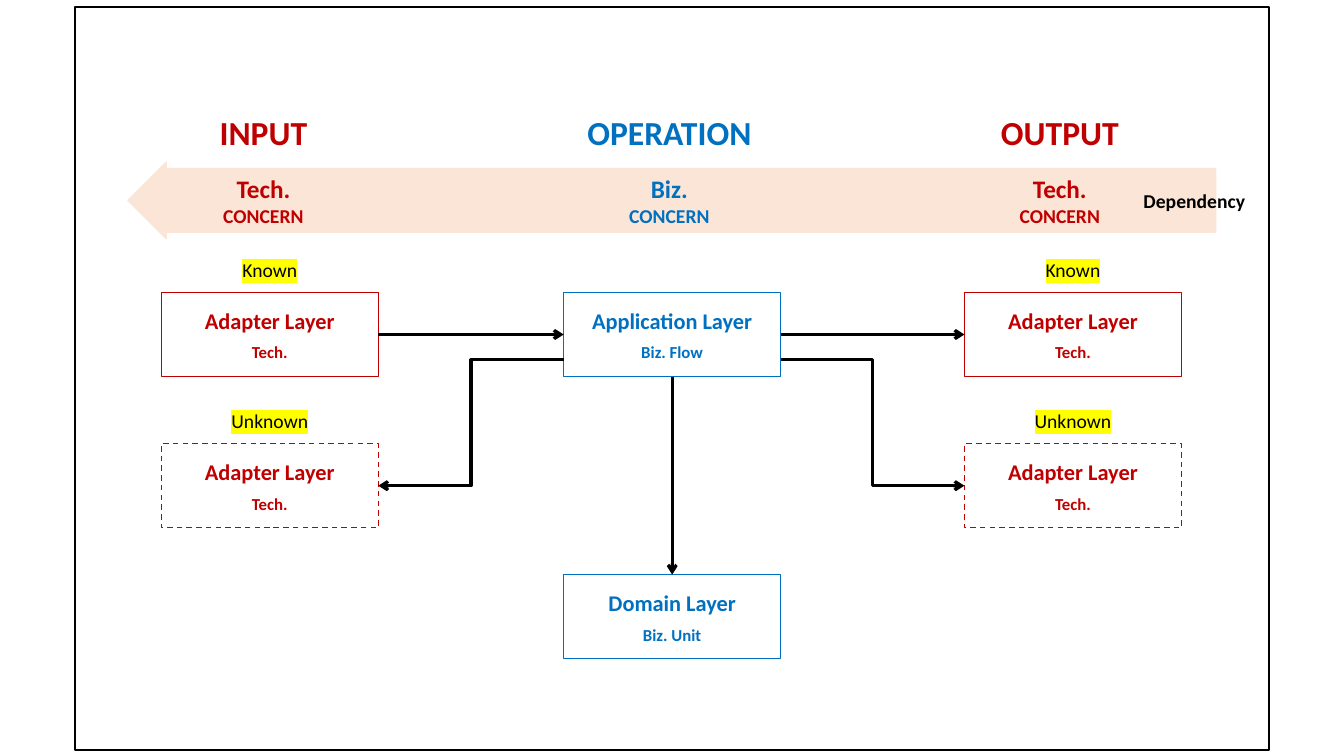
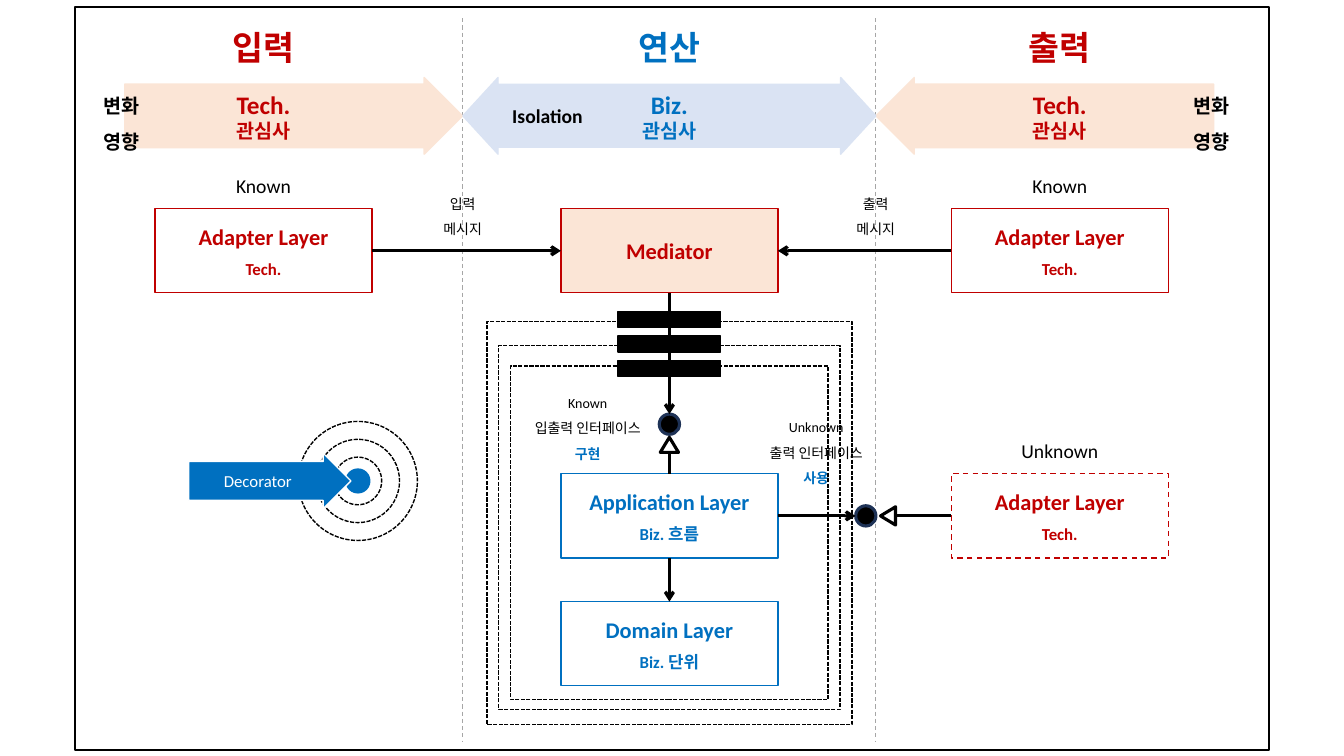
import lxml.etree
import pptx
import pptx.dml.color
import pptx.enum.dml
import pptx.enum.shapes
import pptx.enum.text
import pptx.oxml.ns
import pptx.util

Cm = pptx.util.Cm
Pt = pptx.util.Pt
RGBColor = pptx.dml.color.RGBColor
SHAPE = pptx.enum.shapes.MSO_SHAPE
CONNECTOR = pptx.enum.shapes.MSO_CONNECTOR
DASH = pptx.enum.dml.MSO_LINE.DASH
FINE_DASH = pptx.enum.dml.MSO_LINE.SQUARE_DOT
qn = pptx.oxml.ns.qn

BLACK = RGBColor(0x00, 0x00, 0x00)
WHITE = RGBColor(0xFF, 0xFF, 0xFF)
RED = RGBColor(0xC0, 0x00, 0x00)
BLUE = RGBColor(0x00, 0x70, 0xC0)
NAVY = RGBColor(0x1E, 0x32, 0x56)
GREY = RGBColor(0xA6, 0xA6, 0xA6)
PEACH = RGBColor(0xFB, 0xE5, 0xD6)
PALE_BLUE = RGBColor(0xDA, 0xE3, 0xF3)
YELLOW = RGBColor(0xFF, 0xFF, 0x00)

FONT = "Calibri"
HEADING_CENTRES = (6.64, 16.87, 26.71)
BOX_WIDTH, BOX_HEIGHT = 5.47, 2.12
BAND_HEIGHT, BAND_OFFSET = 1.93, 1.73
LABEL_OFFSET = 1.64
TOP, LEFT, BOTTOM, RIGHT = range(4)


def add_line(frame, text, *, size, color=BLACK, bold=False, spacing=None,
             before=0, highlight=None):
    paragraph = frame.paragraphs[-1]
    if paragraph.runs:
        paragraph = frame.add_paragraph()
    paragraph.alignment = pptx.enum.text.PP_ALIGN.CENTER
    paragraph.line_spacing = spacing
    paragraph.space_before = Pt(before)
    run = paragraph.add_run()
    run.text = text
    run.font.name = FONT
    run.font.size = Pt(size)
    run.font.bold = bold
    run.font.color.rgb = color
    if highlight is not None:
        mark = lxml.etree.Element(qn("a:highlight"))
        lxml.etree.SubElement(mark, qn("a:srgbClr"), val=str(highlight))
        run.font._element.find(qn("a:solidFill")).addnext(mark)


def add_text_box(slide, centre_x, centre_y, width, height):
    box = slide.shapes.add_textbox(Cm(centre_x - width / 2), Cm(centre_y - height / 2),
                                   Cm(width), Cm(height))
    frame = box.text_frame
    frame.word_wrap = False
    frame.vertical_anchor = pptx.enum.text.MSO_ANCHOR.MIDDLE
    return frame


def add_label(slide, centre_x, centre_y, lines, width=3.6, height=0.86, **text_format):
    frame = add_text_box(slide, centre_x, centre_y, width, height)
    for text in lines:
        add_line(frame, text, **text_format)
    return frame


def format_line(line, color, weight, dash):
    line.color.rgb = color
    line.width = Pt(weight)
    if dash is not None:
        line.dash_style = dash


def add_figure(slide, kind, centre_x, centre_y, width, height, *, fill=None,
               line=BLACK, weight=1, dash=None, adjustments=(), rotation=0):
    shape = slide.shapes.add_shape(kind, Cm(centre_x - width / 2), Cm(centre_y - height / 2),
                                   Cm(width), Cm(height))
    shape.shadow.inherit = False
    shape.rotation = rotation
    for index, value in enumerate(adjustments):
        shape.adjustments[index] = value
    if fill is None:
        shape.fill.background()
    else:
        shape.fill.solid()
        shape.fill.fore_color.rgb = fill
    format_line(shape.line, line, weight, dash)
    return shape


def add_connector(slide, start, end, *, kind=CONNECTOR.STRAIGHT, color=BLACK,
                  weight=2.25, dash=None, arrow=True):
    connector = slide.shapes.add_connector(kind, *map(Cm, start + end))
    format_line(connector.line, color, weight, dash)
    properties = connector._element.spPr
    if arrow:
        lxml.etree.SubElement(properties.find(qn("a:ln")), qn("a:tailEnd"), type="arrow")
    lxml.etree.SubElement(properties, qn("a:effectLst"))
    return connector


def link(slide, source, source_side, target, target_side):
    connector = add_connector(slide, (0, 0), (0, 0))
    connector.begin_connect(source, source_side)
    connector.end_connect(target, target_side)


def add_box(slide, centre_x, centre_y, title, subtitle=None, *, color=BLUE,
            fill=None, dash=None):
    box = add_figure(slide, SHAPE.RECTANGLE, centre_x, centre_y, BOX_WIDTH, BOX_HEIGHT,
                     fill=fill, line=color, dash=dash)
    frame = box.text_frame
    frame.vertical_anchor = pptx.enum.text.MSO_ANCHOR.MIDDLE
    add_line(frame, title, size=16, color=color, bold=True)
    if subtitle:
        add_line(frame, subtitle, size=12, color=color, bold=True, before=6)
    return box


def add_adapter(slide, centre_x, centre_y, status, highlight=None):
    add_label(slide, centre_x, centre_y - LABEL_OFFSET, [status], size=14, highlight=highlight)
    return add_box(slide, centre_x, centre_y, "Adapter Layer", "Tech.", color=RED,
                   dash=DASH if status == "Unknown" else None)


def add_band(slide, kind, centre_x, centre_y, width, color=PEACH, adjustments=(0.83, 0.5)):
    add_figure(slide, kind, centre_x, centre_y, width, BAND_HEIGHT, fill=color,
               line=color, adjustments=adjustments)


def add_headings(slide, centre_y, names, concern):
    columns = zip(HEADING_CENTRES, names, ("Tech.", "Biz.", "Tech."), (RED, BLUE, RED))
    for centre_x, name, area, color in columns:
        add_label(slide, centre_x, centre_y, [name], width=5.5, height=1.27,
                  size=24, color=color, bold=True)
        frame = add_text_box(slide, centre_x, centre_y + BAND_OFFSET, 3.2, 1.63)
        add_line(frame, area, size=18, color=color, bold=True)
        add_line(frame, concern, size=14, color=color, bold=True)


def start_slide(presentation):
    slide = presentation.slides.add_slide(presentation.slide_layouts[6])
    add_figure(slide, SHAPE.RECTANGLE, 16.93, 9.54, 30.1, 18.72, weight=1.5)
    return slide


def build_dependency_slide(presentation):
    slide = start_slide(presentation)
    heading_y = 3.32
    band_y = heading_y + BAND_OFFSET
    left_x, middle_x, right_x = 6.8, 16.94, 27.04
    known_y, unknown_y, domain_y = 8.43, 12.24, 15.54
    bend_y = known_y + 0.64

    add_band(slide, SHAPE.LEFT_ARROW, 16.93, band_y, 27.41)
    add_headings(slide, heading_y, ("INPUT", "OPERATION", "OUTPUT"), "CONCERN")
    add_label(slide, 30.1, band_y, ["Dependency"], size=14, bold=True)

    application = add_box(slide, middle_x, known_y, "Application Layer", "Biz. Flow", fill=WHITE)
    domain = add_box(slide, middle_x, domain_y, "Domain Layer", "Biz. Unit", fill=WHITE)
    source, target = [add_adapter(slide, x, known_y, "Known", YELLOW) for x in (left_x, right_x)]
    link(slide, source, RIGHT, application, LEFT)
    link(slide, application, RIGHT, target, LEFT)
    link(slide, application, BOTTOM, domain, TOP)

    for adapter_x, direction in ((left_x, -1), (right_x, 1)):
        add_adapter(slide, adapter_x, unknown_y, "Unknown", YELLOW)
        reach = direction * BOX_WIDTH / 2
        add_connector(slide, (middle_x + reach, bend_y), (adapter_x - reach, unknown_y),
                      kind=CONNECTOR.ELBOW)


def add_interface(slide, centre_x, centre_y):
    return add_figure(slide, SHAPE.OVAL, centre_x, centre_y, 0.51, 0.51, fill=BLACK,
                      line=NAVY, weight=2.25)


def add_implementation(slide, centre_x, centre_y, rotation=0):
    add_figure(slide, SHAPE.ISOSCELES_TRIANGLE, centre_x, centre_y, 0.46, 0.38, fill=WHITE,
               weight=2.25, rotation=rotation)


def add_interface_note(slide, centre_x, centre_y, lines, action):
    frame = add_label(slide, centre_x, centre_y, lines, width=3.6, height=2.18,
                      size=10, spacing=1.5)
    add_line(frame, action, size=10, color=BLUE, bold=True, spacing=1.5)


def add_decorator_key(slide):
    centre_x, centre_y = 9.02, 12.12
    for diameter in (3, 2.1, 1.2):
        add_figure(slide, SHAPE.OVAL, centre_x, centre_y, diameter, diameter, dash=FINE_DASH)
    add_figure(slide, SHAPE.OVAL, centre_x, centre_y, 0.6, 0.6, fill=BLUE, line=BLUE)
    add_figure(slide, SHAPE.RIGHT_ARROW, 6.8, centre_y, 4.09, 1.4, fill=BLUE, line=WHITE,
               adjustments=(0.7, 0.5))
    add_label(slide, 6.5, centre_y, ["Decorator"], size=12, color=WHITE)


def add_decorators(slide, centre_x):
    for layer, (top, height) in enumerate(((8.1, 10.16), (8.71, 9.17), (9.22, 8.41))):
        add_figure(slide, SHAPE.RECTANGLE, centre_x, top + height / 2, 9.2 - 0.6 * layer,
                   height, dash=FINE_DASH)
        add_figure(slide, SHAPE.RECTANGLE, centre_x, 8.05 + 0.62 * layer, 2.59, 0.41, fill=BLACK)


def build_isolation_slide(presentation):
    slide = start_slide(presentation)
    heading_y = 1.19
    band_y = heading_y + BAND_OFFSET
    left_x, middle_x, right_x = HEADING_CENTRES
    known_y, application_y, domain_y = 6.32, 13, 16.22
    dividers = (11.66, 22.07)

    for x in dividers:
        add_connector(slide, (x, 0.46), (x, 18.69), color=GREY, weight=0.75, dash=DASH, arrow=False)
    add_band(slide, SHAPE.RIGHT_ARROW, 7.4, band_y, 8.51)
    add_band(slide, SHAPE.LEFT_ARROW, 26.33, band_y, 8.51)
    add_band(slide, SHAPE.LEFT_RIGHT_ARROW, middle_x, band_y, 10.41, PALE_BLUE, (0.82, 0.46))
    add_headings(slide, heading_y, ("입력", "연산", "출력"), "관심사")
    add_label(slide, 13.8, band_y, ["Isolation"], size=14, bold=True)
    for x in (3.06, 30.53):
        add_label(slide, x, band_y + 0.05, ["변화", "영향"], width=2, height=1.96,
                  size=14, bold=True, spacing=1.5)

    source, target = [add_adapter(slide, x, known_y, "Known") for x in (left_x, right_x)]
    mediator = add_box(slide, middle_x, known_y, "Mediator", color=RED, fill=PEACH)
    application = add_box(slide, middle_x, application_y, "Application Layer", "Biz. 흐름")
    domain = add_box(slide, middle_x, domain_y, "Domain Layer", "Biz. 단위")
    add_adapter(slide, right_x, application_y, "Unknown")
    implemented = add_interface(slide, middle_x, 10.69)
    add_interface(slide, 21.82, application_y)

    link(slide, source, RIGHT, mediator, LEFT)
    link(slide, target, LEFT, mediator, RIGHT)
    link(slide, mediator, BOTTOM, implemented, TOP)
    link(slide, application, BOTTOM, domain, TOP)
    half_width = BOX_WIDTH / 2
    add_connector(slide, (middle_x + half_width, application_y), (21.56, application_y))
    add_connector(slide, (right_x - half_width, application_y), (22.56, application_y), arrow=False)
    add_connector(slide, (middle_x, application_y - BOX_HEIGHT / 2), (middle_x, 11.4), arrow=False)
    add_implementation(slide, middle_x, 11.21)
    add_implementation(slide, 22.38, application_y, rotation=270)

    for x, name in zip(dividers, ("입력", "출력")):
        add_label(slide, x, 5.35, [name, "메시지"], width=2, height=1.55, size=10, spacing=1.5)
    add_interface_note(slide, 14.81, 10.69, ["Known", "입출력 인터페이스"], "구현")
    add_interface_note(slide, 20.57, 11.3, ["Unknown", "출력 인터페이스"], "사용")
    add_decorator_key(slide)
    add_decorators(slide, middle_x)


def main():
    presentation = pptx.Presentation()
    presentation.slide_width = Cm(33.87)
    presentation.slide_height = Cm(19.05)
    build_dependency_slide(presentation)
    build_isolation_slide(presentation)
    presentation.save("out.pptx")


if __name__ == "__main__":
    main()
